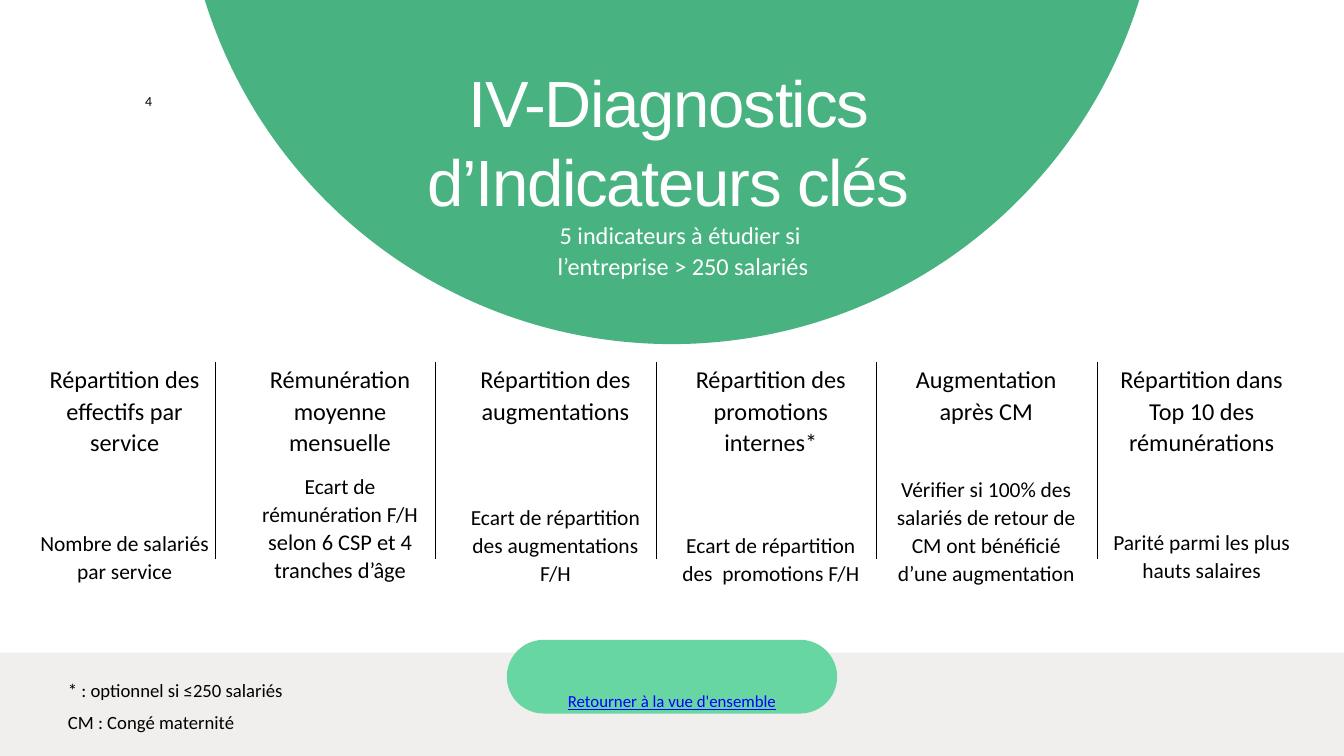
from typing import NamedTuple

from lxml import etree
from pptx import Presentation
from pptx.dml.color import RGBColor
from pptx.enum.shapes import MSO_CONNECTOR, MSO_SHAPE
from pptx.enum.text import MSO_ANCHOR, MSO_AUTO_SIZE, PP_ALIGN
from pptx.oxml.ns import qn
from pptx.util import Pt

OVAL, RECT, PILL = MSO_SHAPE.OVAL, MSO_SHAPE.RECTANGLE, MSO_SHAPE.ROUNDED_RECTANGLE
LEFT, CENTER = PP_ALIGN.LEFT, PP_ALIGN.CENTER
TOP = MSO_ANCHOR.TOP
GROW = MSO_AUTO_SIZE.SHAPE_TO_FIT_TEXT
STRAIGHT = MSO_CONNECTOR.STRAIGHT

WHITE, BLACK, BLUE = "FFFFFF", "000000", "0000FF"
GREEN, MINT, GREY = "48B281", "68D6A3", "F1EEEE"

COL_X, COL_PITCH, COL_W, COL_Y = 36.7, 230.8, 193.7, 388
RULE_X, RULE_PITCH, RULE_H = 230.4, 236.35, 211


class Box(NamedTuple):
    x: float
    y: float
    w: float
    h: float


class Style(NamedTuple):
    size: float
    spacing: float
    color: str = BLACK
    align: PP_ALIGN = CENTER
    font: str = "Calibri"
    underline: bool | None = None


class Run(NamedTuple):
    text: str
    size: float | None = None


class Indicator(NamedTuple):
    head: str
    head_h: float
    note: list[Run]
    note_y: float
    note_h: float


TITLE = Style(70, 84, WHITE, font="Arial")
SUBTITLE = Style(26, 33.8, WHITE)
HEAD = Style(26, 33.8)
NOTE = Style(23, 29.9)
FOOTNOTE = Style(20, 33.8, align=LEFT)
NUMBER = Style(14.8, 20.7, align=LEFT)
BACK = Style(18, 15.9, BLUE, underline=True)

INDICATORS = [
    Indicator("Répartition des effectifs par service", 101,
              [Run("Nombre de salariés par service")], 565.2, 88.6),
    Indicator("Rémunération moyenne mensuelle", 127.4,
              [Run("Ecart de rémunération F/H "),
               Run("selon 6 CSP et 4 tranches d’âge", 24)], 504.7, 149),
    Indicator("Répartition des augmentations", 66.2,
              [Run("Ecart de répartition des augmentations F/H")], 537.8, 118.8),
    Indicator("Répartition des promotions internes*", 101,
              [Run("Ecart de répartition des  promotions F/H")], 568.1, 88.6),
    Indicator("Augmentation après CM", 66.2,
              [Run("Vérifier si 100% des salariés de retour de CM "
                   "ont bénéficié d’une augmentation")], 507.6, 149),
    Indicator("Répartition dans Top 10 des rémunérations", 101,
              [Run("Parité parmi les plus hauts salaires")], 564.5, 58.3),
]


def rgb(color: str) -> RGBColor:
    return RGBColor.from_string(color)


def add_solid(s, kind: MSO_SHAPE, box: Box, color: str):
    sp = s.shapes.add_shape(kind, *map(Pt, box))
    sp.shadow.inherit = False
    sp.fill.solid()
    sp.fill.fore_color.rgb = rgb(color)
    sp.line.fill.background()
    return sp


def add_rule(s, x: float, y: float, h: float) -> None:
    line = s.shapes.add_connector(STRAIGHT, Pt(x), Pt(y + h), Pt(x), Pt(y))
    line.line.color.rgb = rgb(BLACK)
    line.line.width = Pt(0.75)
    etree.SubElement(line.element.spPr, qn("a:effectLst"))


def set_text(sp, paragraphs: list[list[Run]], style: Style) -> None:
    tf = sp.text_frame
    frame = dict(word_wrap=True, auto_size=GROW, vertical_anchor=TOP,
                 margin_left=0, margin_top=0, margin_right=0, margin_bottom=0)
    for name, value in frame.items():
        setattr(tf, name, value)
    for i, runs in enumerate(paragraphs):
        p = tf.add_paragraph() if i else tf.paragraphs[0]
        p.alignment = style.align
        p.line_spacing = Pt(style.spacing)
        for run in runs:
            r = p.add_run()
            r.text = run.text
            font = dict(name=style.font, size=Pt(run.size or style.size),
                        underline=style.underline)
            for name, value in font.items():
                setattr(r.font, name, value)
            r.font.color.rgb = rgb(style.color)


def add_text(s, box: Box, paragraphs: list[list[Run]], style: Style) -> None:
    set_text(s.shapes.add_textbox(*map(Pt, box)), paragraphs, style)


def place_title(s, box: Box, text: str) -> None:
    sp = s.shapes.title
    for name, value in zip(("left", "top", "width", "height"), box):
        setattr(sp, name, Pt(value))
    set_text(sp, [[Run(text)]], TITLE)
    sp.text_frame.paragraphs[0].runs[0].font._element.set("spc", "-140")
    s.shapes.element.append(sp.element)


def add_indicator(s, x: float, item: Indicator) -> None:
    add_text(s, Box(x, item.note_y, COL_W, item.note_h), [item.note], NOTE)
    add_text(s, Box(x, COL_Y, COL_W, item.head_h), [[Run(item.head)]], HEAD)


def main() -> None:
    prs = Presentation()
    prs.slide_width, prs.slide_height = Pt(1440), Pt(810)
    s = prs.slides.add_slide(prs.slide_layouts[5])

    add_solid(s, OVAL, Box(195.8, -679.7, 1048.4, 1048.4), GREEN)
    add_solid(s, RECT, Box(0, 699.2, 1440, 110.8), GREY)
    place_title(s, Box(420.5, 67, 591, 166.3), "IV-Diagnostics d’Indicateurs clés")
    add_text(s, Box(522, 233.3, 419.8, 66.2),
             [[Run("5 indicateurs à étudier si ")],
              [Run("l’entreprise > 250 salariés")]], SUBTITLE)
    add_text(s, Box(155.5, 96.5, 252.7, 19.4), [[Run("4")]], NUMBER)

    for i, item in enumerate(INDICATORS):
        add_indicator(s, COL_X + i * COL_PITCH, item)
    for i in range(len(INDICATORS) - 1):
        add_rule(s, RULE_X + i * RULE_PITCH, COL_Y, RULE_H)

    pill = add_solid(s, PILL, Box(543, 685.5, 354, 79), MINT)
    pill.adjustments[0] = 0.5
    add_text(s, Box(576, 746, 288, 16.6), [[Run("Retourner à la vue d'ensemble")]], BACK)
    add_text(s, Box(72.7, 717.8, 435.6, 66.2),
             [[Run("* : optionnel si ≤250 salariés")],
              [Run("CM : Congé maternité")]], FOOTNOTE)

    prs.save("out.pptx")


if __name__ == "__main__":
    main()
